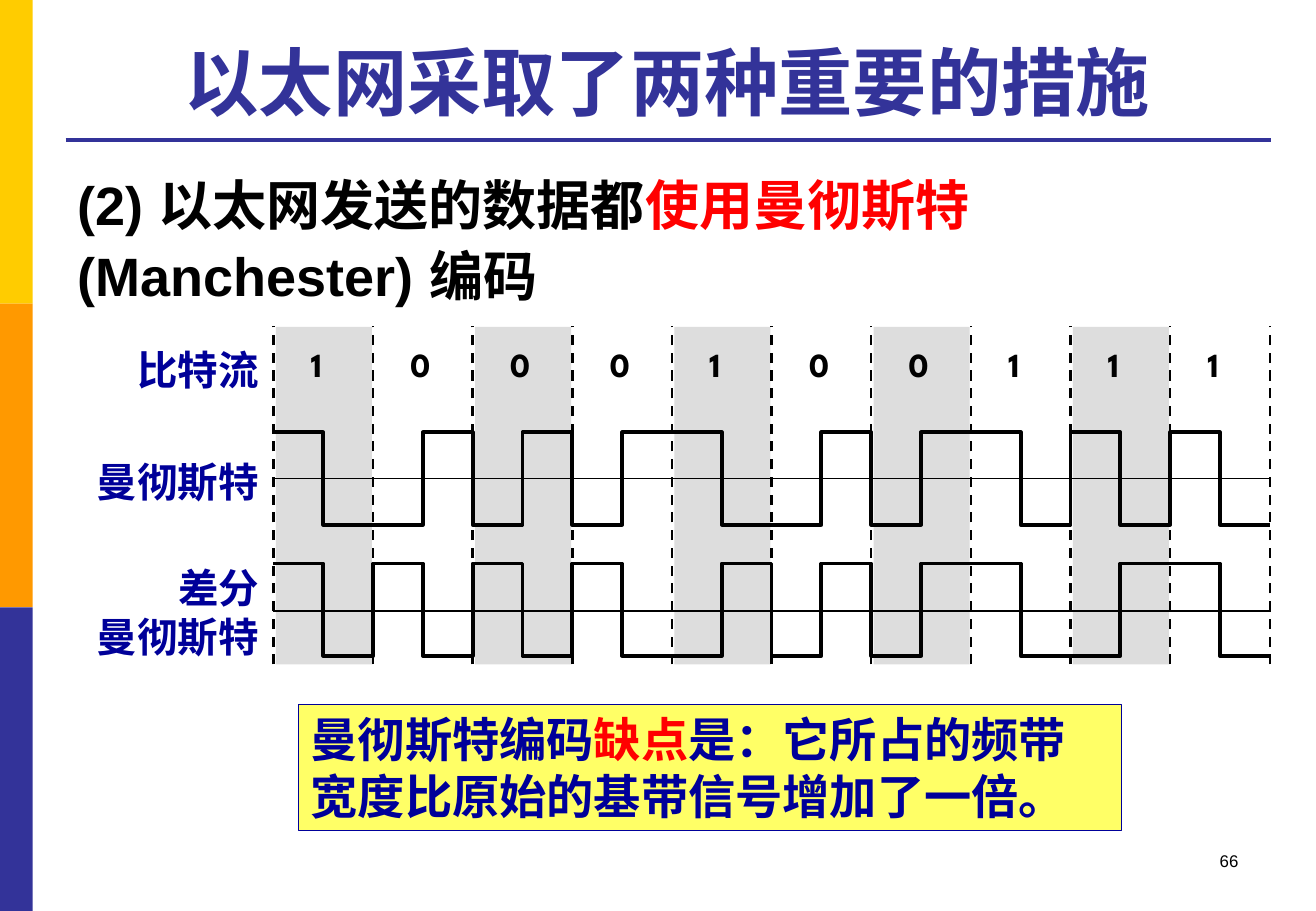
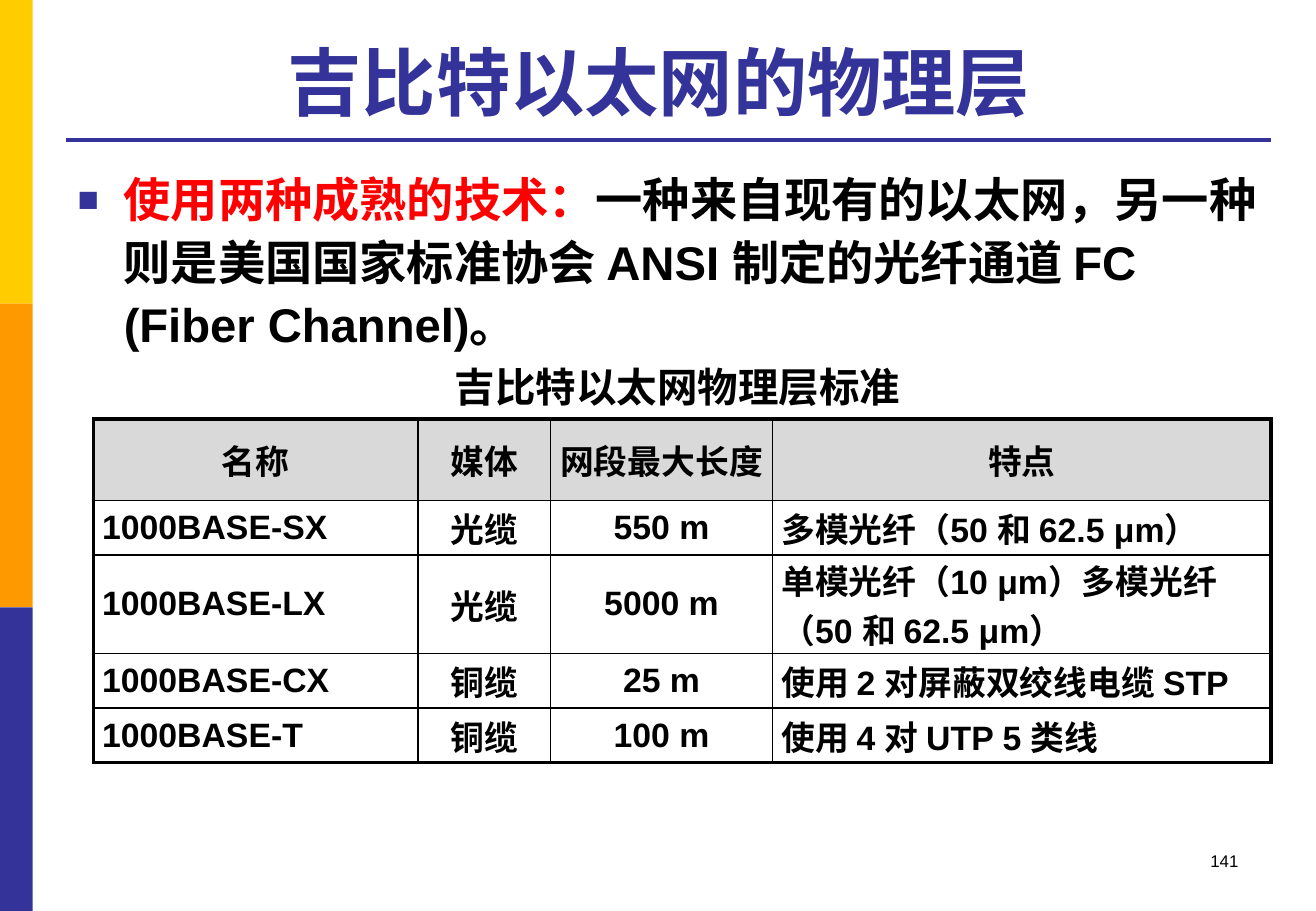
from lxml.etree import SubElement
from pptx import Presentation
from pptx.dml.color import RGBColor
from pptx.enum.dml import MSO_LINE_DASH_STYLE as Dash
from pptx.enum.lang import MSO_LANGUAGE_ID as Lang
from pptx.enum.shapes import MSO_CONNECTOR as Conn, MSO_SHAPE as Shape
from pptx.enum.text import MSO_ANCHOR as Anchor, PP_ALIGN as Align
from pptx.oxml.ns import qn
from pptx.util import Inches, Pt

# Shared look
BLACK, RED, BLUE, NAVY = "000000", "FF0000", "333399", "000099"
GREY, HEAD, PALE = "DDDDDD", "D9D9D9", "FFFF66"
BANDS = ["FFCC00", "FF9900", BLUE]
FONT = "Arial"

# Slide 1 content
CODE = {
    "title": "以太网采取了两种重要的措施",
    "page": "66",
    "body": [("(2) 以太网发送的数据都", BLACK), ("使用曼彻斯特 ", RED),
             ("(Manchester) 编码", BLACK)],
    "note": [("曼彻斯特编码", NAVY), ("缺点", RED),
             ("是：它所占的频带宽度比原始的基带信号增加了一倍。", NAVY)],
}
BITS = "1000100111"
LABELS = [(2.79, ["比特流"]), (3.71, ["曼彻斯特"]), (4.59, ["差分", "曼彻斯特"])]

# Slide 2 content
GIGA = {
    "title": "吉比特以太网的物理层 ",
    "page": "141",
    "body": [("使用两种成熟的技术：", RED),
             ("一种来自现有的以太网，另一种则是美国国家标准协会 ANSI "
              "制定的光纤通道 FC (Fiber Channel)。", BLACK)],
    "caption": "吉比特以太网物理层标准",
}
ROWS = [
    ("名称", "媒体", "网段最大长度", "特点"),
    ("1000BASE-SX", "光缆", "550 m", "多模光纤（50 和 62.5 μm）"),
    ("1000BASE-LX", "光缆", "5000 m", "单模光纤（10 μm）多模光纤（50 和 62.5 μm）"),
    ("1000BASE-CX", "铜缆", "25 m", "使用 2 对屏蔽双绞线电缆 STP"),
    ("1000BASE-T", "铜缆", "100 m", "使用 4 对 UTP 5 类线"),
]
WIDTHS = [2.67, 1.09, 1.83, 4.1]
HEIGHTS = [0.67, 0.45, 0.81, 0.45, 0.45]


def rgb(code):
    return RGBColor.from_string(code)


def write(frame, paras, size=24, color=BLACK, bold=True, font=FONT,
          align=Align.LEFT, anchor=Anchor.TOP, before=0, space=None):
    """Fill a frame; each paragraph is a string or a list of (text, colour)."""
    frame.word_wrap = True
    frame.vertical_anchor = anchor
    for i, para in enumerate(paras):
        p = frame.add_paragraph() if i else frame.paragraphs[0]
        p.alignment, p.space_before, p.line_spacing = align, Pt(before), space
        for words, tint in [(para, color)] if isinstance(para, str) else para:
            run = p.add_run()
            run.text = words
            f = run.font
            f.size, f.bold, f.name = Pt(size), bold, font
            f.color.rgb = rgb(tint)
            f.language_id = Lang.SIMPLIFIED_CHINESE
    return frame


def text(slide, box, paras, **style):
    area = slide.shapes.add_textbox(*map(Inches, box))
    return write(area.text_frame, paras, **style)


def rect(slide, box, fill, edge=None):
    shape = slide.shapes.add_shape(Shape.RECTANGLE, *map(Inches, box))
    shape.shadow.inherit = False
    shape.fill.solid()
    shape.fill.fore_color.rgb = rgb(fill)
    if edge:
        shape.line.color.rgb = rgb(edge)
        shape.line.width = Pt(0.75)
    else:
        shape.line.fill.background()
    return shape


def line(slide, ends, width, color=BLACK, dash=None):
    rule = slide.shapes.add_connector(Conn.STRAIGHT, *map(Inches, ends))
    rule.line.color.rgb = rgb(color)
    rule.line.width = Pt(width)
    if dash:
        rule.line.dash_style = dash
    SubElement(rule._element.spPr, qn("a:effectLst"))


def base(deck, data):
    """Add a slide with side bands, title, rule and page number."""
    slide = deck.slides.add_slide(deck.slide_layouts[6])
    for i, color in enumerate(BANDS):
        rect(slide, (0, 2.5 * i, 0.27, 2.5), color)
    line(slide, (0.54, 1.15, 10.46, 1.15), 2.25, BLUE)
    text(slide, (0.54, 0.21, 9.91, 0.87), [data["title"]], size=44,
         color=BLUE, align=Align.CENTER, anchor=Anchor.BOTTOM)
    text(slide, (7.76, 6.95, 2.53, 0.5), [data["page"]], size=10,
         bold=False, align=Align.RIGHT)
    return slide


def body(slide, data, size):
    return text(slide, (0.54, 1.31, 9.91, 1.4), [data["body"]],
                size=size, before=6, space=1.1)


def direct(bits):
    """Manchester: 1 is high then low, 0 is low then high."""
    return [half for b in bits for half in ((1, 0) if b == "1" else (0, 1))]


def differ(bits):
    """Differential Manchester: 0 flips at the start of the bit."""
    halves, level = [], 1
    for b in bits:
        level = level if b == "1" else 1 - level
        halves += [level, 1 - level]
        level = 1 - level
    return halves


def wave(slide, halves, left, step, top):
    pts = []
    for i, level in enumerate(halves):
        y = top + 0.76 * (1 - level)
        pts += [(left + step * i, y), (left + step * (i + 1), y)]
    pts = [(Inches(x), Inches(y)) for x, y in pts]
    path = slide.shapes.build_freeform(*pts[0])
    path.add_line_segments(pts[1:], close=False)
    shape = path.convert_to_shape()
    shape.shadow.inherit = False
    shape.fill.background()
    shape.line.color.rgb = rgb(BLACK)
    shape.line.width = Pt(2.25)


def coding(deck):
    slide = base(deck, CODE)
    body(slide, CODE, 32)

    # Bit columns: shades, dashed limits, digits
    left, step = 2.25, 0.82
    edges = [left + step * i for i in range(len(BITS) + 1)]
    for x in edges[:-1:2]:
        rect(slide, (x + 0.02, 2.69, 0.79, 2.78), GREY)
    for x in edges:
        line(slide, (x, 5.47, x, 2.68), 1.5, dash=Dash.DASH)
    for x, bit in zip(edges, BITS):
        text(slide, (x + 0.21, 2.78, 0.37, 0.43), [bit], size=20,
             font="League Spartan")

    # Signals and their labels
    for halves, top, mid in ((direct(BITS), 3.56, 3.94),
                             (differ(BITS), 4.64, 5.03)):
        wave(slide, halves, left, step / 2, top)
        line(slide, (left, mid, 10.46, mid), 1)
    for top, words in LABELS:
        text(slide, (0.5, top, 1.73, 0.5 * len(words)), words, color=NAVY,
             align=Align.RIGHT)

    # Drawback note
    note = rect(slide, (2.46, 5.8, 6.77, 1.04), PALE, NAVY)
    write(note.text_frame, [CODE["note"]], size=28, before=6)


def border(cell, side, width):
    ln = SubElement(cell._tc.get_or_add_tcPr(), qn("a:ln" + side),
                    w=str(Pt(width)))
    fill = SubElement(ln, qn("a:solidFill"))
    SubElement(fill, qn("a:srgbClr"), val=BLACK)


def grid(slide):
    box = (0.77, 3.45, sum(WIDTHS), sum(HEIGHTS))
    table = slide.shapes.add_table(len(ROWS), len(WIDTHS),
                                   *map(Inches, box)).table
    table.first_row = table.horz_banding = False
    for col, w in zip(table.columns, WIDTHS):
        col.width = Inches(w)
    for row, h in zip(table.rows, HEIGHTS):
        row.height = Inches(h)
    end, last = len(ROWS) - 1, len(WIDTHS) - 1
    for r, row in enumerate(ROWS):
        for c, words in enumerate(row):
            cell = table.cell(r, c)
            cell.margin_left = cell.margin_right = Inches(0.07)
            cell.margin_top = cell.margin_bottom = 0
            for side, outer in (("L", c == 0), ("R", c == last),
                                ("T", r == 0), ("B", r == end)):
                border(cell, side, 2.25 if outer else 1)
            if r == 0:
                cell.fill.solid()
                cell.fill.fore_color.rgb = rgb(HEAD)
            else:
                cell.fill.background()
            mid = r == 0 or c in (1, 2)
            write(cell.text_frame, [words], size=20,
                  align=Align.CENTER if mid else Align.LEFT)
            cell.vertical_anchor = Anchor.MIDDLE


def bullet(para):
    props = para._p.get_or_add_pPr()
    props.set("marL", str(Inches(0.38)))
    props.set("indent", str(-Inches(0.38)))
    color = SubElement(props, qn("a:buClr"))
    SubElement(color, qn("a:srgbClr"), val=BLUE)
    SubElement(props, qn("a:buSzPct"), val="75000")
    SubElement(props, qn("a:buFont"), typeface=FONT)
    SubElement(props, qn("a:buChar"), char="■")


def physical(deck):
    slide = base(deck, GIGA)
    bullet(body(slide, GIGA, 28).paragraphs[0])
    grid(slide)
    text(slide, (2.82, 2.93, 5.51, 0.5), [GIGA["caption"]],
         align=Align.CENTER, anchor=Anchor.MIDDLE)


def main():
    deck = Presentation()
    deck.slide_width, deck.slide_height = Inches(10.83), Inches(7.5)
    coding(deck)
    physical(deck)
    deck.save("out.pptx")


if __name__ == "__main__":
    main()
